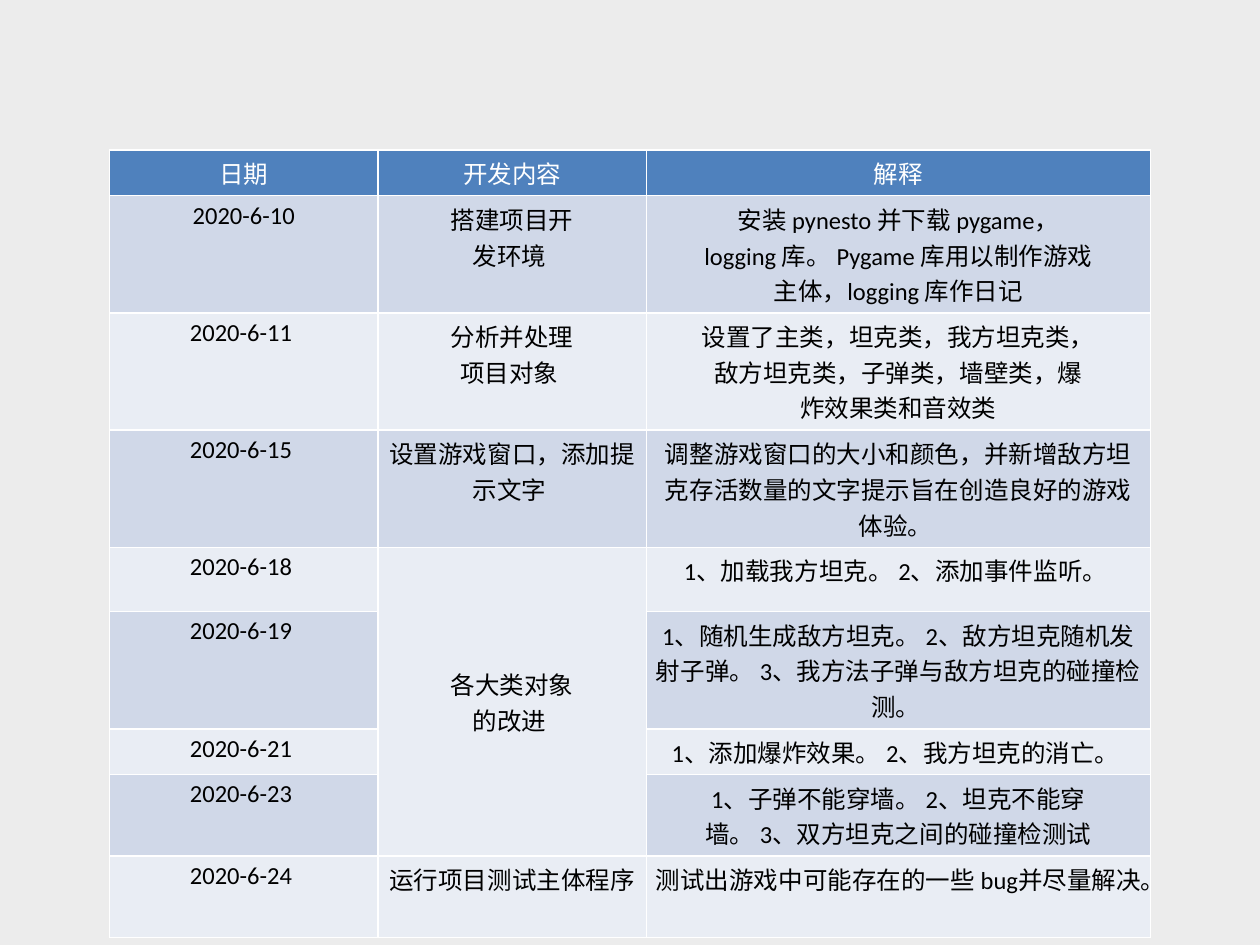
from dataclasses import dataclass

from lxml.etree import SubElement
from pptx import Presentation
from pptx.dml.color import RGBColor
from pptx.enum.text import MSO_ANCHOR, PP_ALIGN
from pptx.oxml.ns import qn
from pptx.util import Inches, Pt


@dataclass(frozen=True)
class Theme:
    background: str = "ECECEC"
    header: str = "4F81BD"
    odd_row: str = "D0D8E8"
    even_row: str = "E9EDF4"
    border: str = "FFFFFF"
    header_text: str = "FFFFFF"
    body_text: str = "000000"
    font: str = "Calibri"
    size: int = 14
    border_width: int = 1


THEME = Theme()
COLUMN_WIDTHS = [2.13, 2.13, 4]
ROW_HEIGHTS = [0.3, 0.75, 0.75, 0.53, 0.51, 0.53, 0.35, 0.53, 0.53]
MERGED_ROWS = (4, 7)
SCHEDULE = [
    ("日期", "开发内容", "解释"),
    ("2020-6-10", "搭建项目开\n发环境 ",
     "安装 pynesto 并下载 pygame，\nlogging 库。 Pygame 库用以制作游戏\n主体，logging 库作日记"),
    ("2020-6-11 ", "分析并处理\n项目对象 ",
     "设置了主类，坦克类，我方坦克类，\n敌方坦克类，子弹类，墙壁类，爆\n炸效果类和音效类"),
    ("2020-6-15 ", "设置游戏窗口，添加提\n示文字 ",
     "调整游戏窗口的大小和颜色，并新增敌方坦克存活数量的文字提示旨在创造良好的游戏体验。 "),
    ("2020-6-18 ", "各大类对象\n的改进 ", "1、加载我方坦克。 2、添加事件监听。 "),
    ("2020-6-19 ", "",
     "1、随机生成敌方坦克。 2、敌方坦克随机发射子弹。 3、我方法子弹与敌方坦克的碰撞检测。 "),
    ("2020-6-21 ", "", "1、添加爆炸效果。 2、我方坦克的消亡。 "),
    ("2020-6-23 ", "", "1、子弹不能穿墙。 2、坦克不能穿\n墙。 3、双方坦克之间的碰撞检测试"),
    ("2020-6-24 ", "运行项目测试主体程序", "测试出游戏中可能存在的一些 bug并尽量解决。 "),
]


def write_text(frame, text, color, size=THEME.size, align=PP_ALIGN.CENTER):
    for index, line in enumerate(text.split("\n")):
        para = frame.add_paragraph() if index else frame.paragraphs[0]
        para.alignment = align
        span = para.add_run()
        span.text = line
        span.font.name = THEME.font
        span.font.size = Pt(size)
        span.font.bold = False
        span.font.color.rgb = RGBColor.from_string(color)


def set_borders(cell):
    properties = cell._tc.get_or_add_tcPr()
    for side in ("lnL", "lnR", "lnT", "lnB"):
        line = SubElement(properties, qn(f"a:{side}"), w=str(Pt(THEME.border_width)))
        fill = SubElement(line, qn("a:solidFill"))
        SubElement(fill, qn("a:srgbClr"), val=THEME.border)


def format_cell(cell, fill):
    cell.margin_left = cell.margin_right = Inches(0.07)
    cell.margin_top = cell.margin_bottom = Inches(0.04)
    set_borders(cell)
    cell.fill.solid()
    cell.fill.fore_color.rgb = RGBColor.from_string(fill)


def row_colors(row):
    if row == 0:
        return THEME.header, THEME.header_text
    return THEME.odd_row if row % 2 else THEME.even_row, THEME.body_text


def add_schedule(page, left, top, width, height):
    table = page.shapes.add_table(
        len(SCHEDULE), len(COLUMN_WIDTHS), left, top, width, height).table
    for column, column_width in zip(table.columns, COLUMN_WIDTHS):
        column.width = Inches(column_width)
    for row, row_height in zip(table.rows, ROW_HEIGHTS):
        row.height = Inches(row_height)
    for row, texts in enumerate(SCHEDULE):
        fill, color = row_colors(row)
        for column, text in enumerate(texts):
            cell = table.cell(row, column)
            format_cell(cell, fill)
            if text:
                write_text(cell.text_frame, text, color)
    first, last = MERGED_ROWS
    merged = table.cell(first, 1)
    merged.merge(table.cell(last, 1))
    merged.vertical_anchor = MSO_ANCHOR.MIDDLE


def main():
    deck = Presentation()
    deck.slide_width, deck.slide_height = Inches(10), Inches(7.5)
    page = deck.slides.add_slide(deck.slide_layouts[6])
    page.background.fill.solid()
    page.background.fill.fore_color.rgb = RGBColor.from_string(THEME.background)
    add_schedule(page, Inches(0.87), Inches(1.19),
                 Inches(sum(COLUMN_WIDTHS)), Inches(sum(ROW_HEIGHTS)))
    deck.save("out.pptx")


if __name__ == "__main__":
    main()
